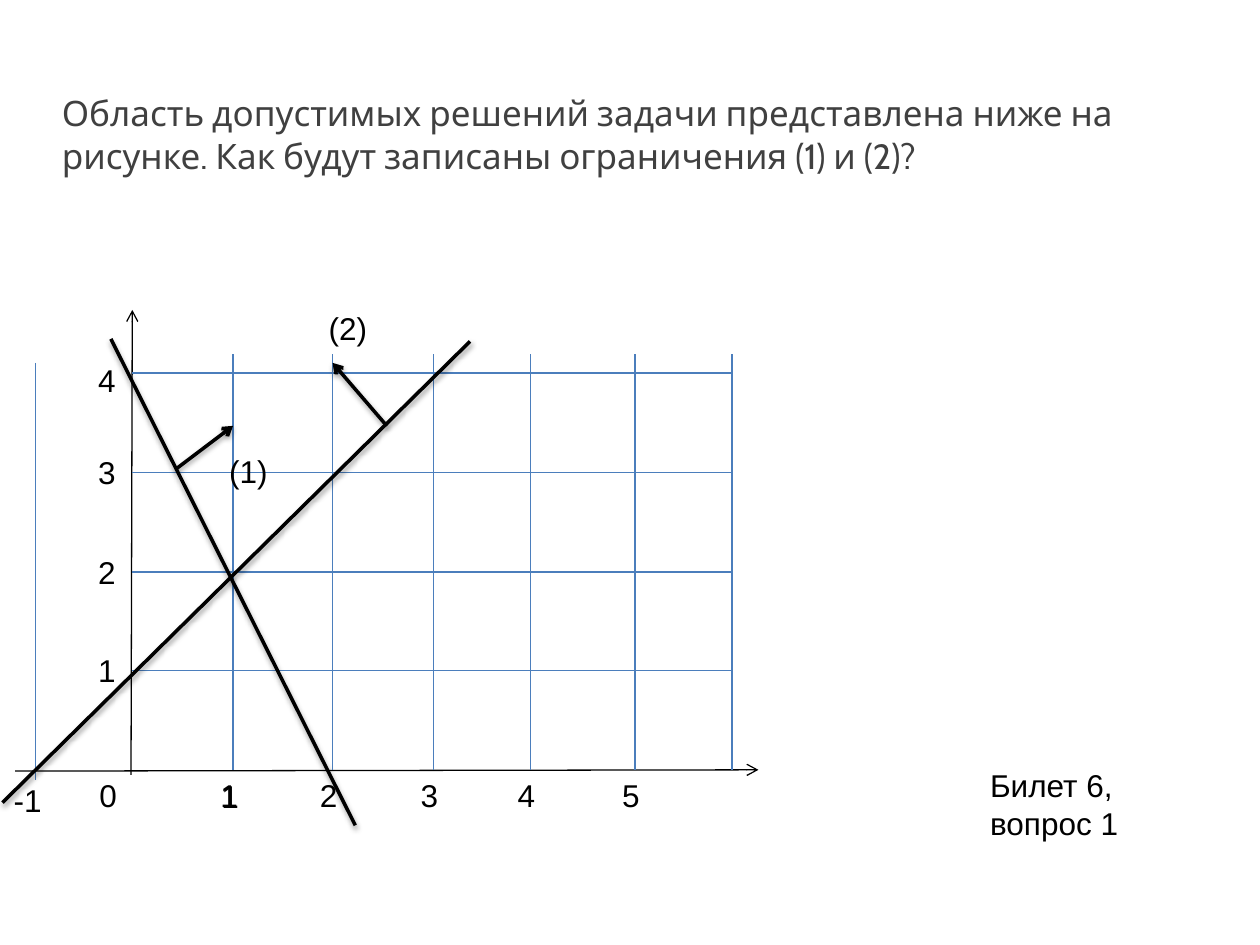
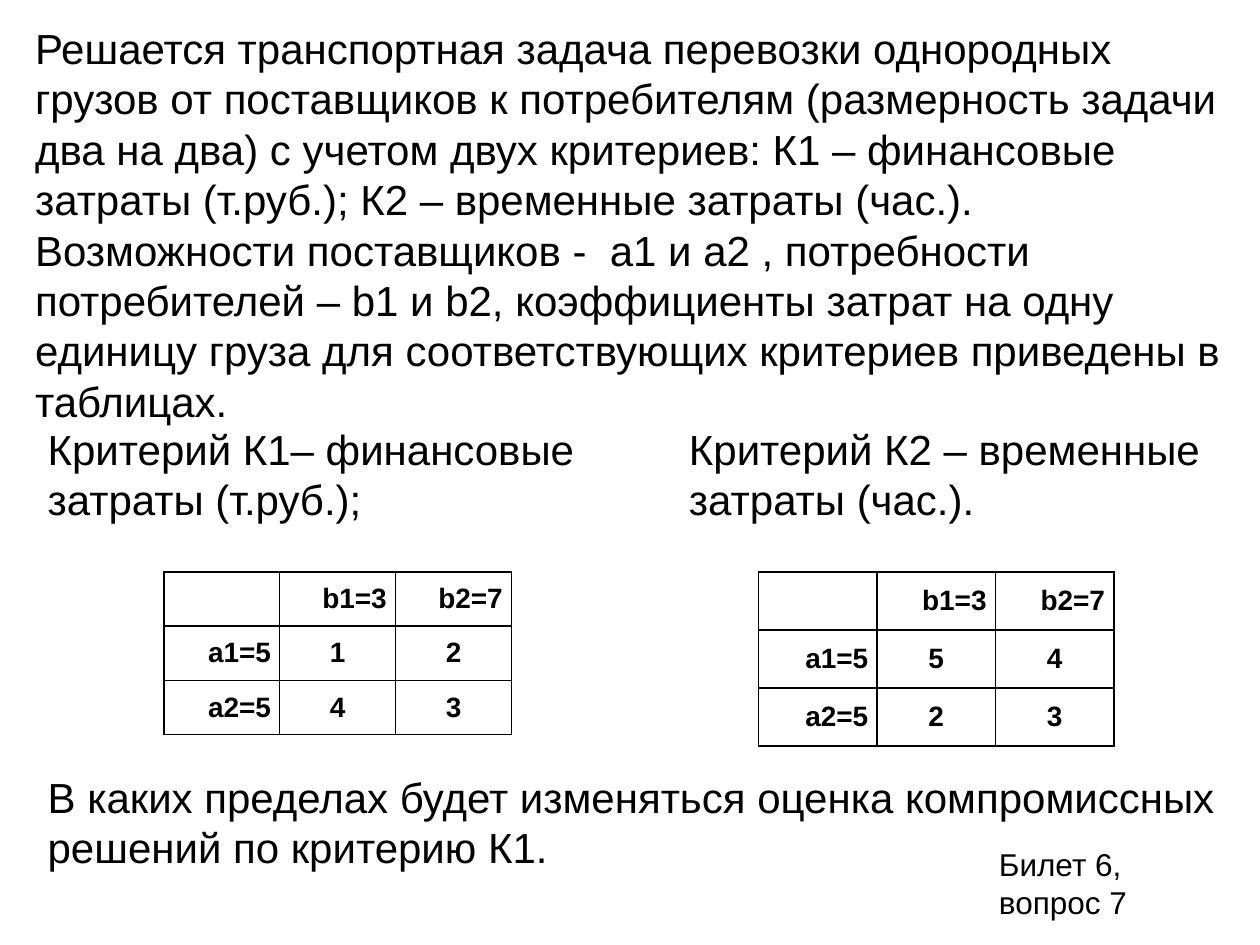
from lxml import etree
from pptx import Presentation
from pptx.dml.color import RGBColor
from pptx.enum.shapes import MSO_CONNECTOR
from pptx.enum.text import MSO_ANCHOR, MSO_AUTO_SIZE, PP_ALIGN
from pptx.oxml.ns import qn
from pptx.util import Inches, Pt

STRAIGHT = MSO_CONNECTOR.STRAIGHT
TOP, MIDDLE = MSO_ANCHOR.TOP, MSO_ANCHOR.MIDDLE
LEFT, CENTER, RIGHT = PP_ALIGN.LEFT, PP_ALIGN.CENTER, PP_ALIGN.RIGHT
NO_FIT = MSO_AUTO_SIZE.NONE

HEX = {"ink": "000000", "title": "404040", "grid": "4B7EBC"}
BODY, HEAD = "Arial", "Cabin"

COLS = [1.85, 2.64, 3.44, 4.21, 5.04, 5.81]
ROWS = [5.32, 4.54, 3.75, 2.96]
MARKS = [5.12, 4.34, 3.55, 2.82]


def color(name):
    """Return the named colour."""
    return RGBColor.from_string(HEX[name])


def write(frame, text, size=18, font=BODY, ink="ink", bold=False, align=LEFT, anchor=TOP):
    """Fill a text frame with one paragraph per line of text."""
    frame.word_wrap = True
    frame.vertical_anchor = anchor
    frame.text = text
    for para in frame.paragraphs:
        para.alignment = align
        para.space_before = Pt(0)
        face = para.font
        face.size, face.name, face.bold = Pt(size), font, bold
        face.color.rgb = color(ink)


def place(shape, left, top, width, height):
    """Move and size a shape, in inches."""
    shape.left, shape.top = Inches(left), Inches(top)
    shape.width, shape.height = Inches(width), Inches(height)


def label(slide, text, left, top, width=0.37, height=0.4, **style):
    """Add a text box."""
    box = slide.shapes.add_textbox(*map(Inches, (left, top, width, height)))
    write(box.text_frame, text, **style)


def line(slide, start, end, ink="ink", width=0.75, arrow=False, shadow=False):
    """Add a straight line with an optional arrowhead and shadow."""
    item = slide.shapes.add_connector(STRAIGHT, *map(Inches, start + end))
    item.line.color.rgb = color(ink)
    item.line.width = Pt(width)
    props = item._element.spPr
    if arrow:
        etree.SubElement(props.find(qn("a:ln")), qn("a:tailEnd"), type="arrow")
    effect = etree.SubElement(props, qn("a:effectLst"))
    if shadow:
        cast = etree.SubElement(effect, qn("a:outerShdw"), blurRad="40000",
                                dist="20000", dir="5400000", rotWithShape="0")
        tone = etree.SubElement(cast, qn("a:srgbClr"), val=HEX["ink"])
        etree.SubElement(tone, qn("a:alpha"), val="38000")


def border(cell):
    """Draw a thin line on all four sides of a cell."""
    props = cell._tc.get_or_add_tcPr()
    for spot, side in enumerate(("lnL", "lnR", "lnT", "lnB")):
        edge = etree.Element(qn(f"a:{side}"), w=str(Pt(1)))
        fill = etree.SubElement(edge, qn("a:solidFill"))
        etree.SubElement(fill, qn("a:srgbClr"), val=HEX["ink"])
        props.insert(spot, edge)


def costs(slide, left, side, height, values):
    """Add a cost table with demand on top and supply on the left."""
    rows = [["", "b1=3", "b2=7"], ["a1=5", *values[0]], ["a2=5", *values[1]]]
    size = len(rows)
    frame = slide.shapes.add_table(
        size, size, Inches(left), Inches(4.54), Inches(size * side), Inches(size * height))
    table = frame.table
    table.first_row = table.horz_banding = False
    for col in table.columns:
        col.width = Inches(side)
    for r, row in enumerate(rows):
        table.rows[r].height = Inches(height)
        for c, text in enumerate(row):
            cell = table.cell(r, c)
            cell.margin_left = cell.margin_right = Inches(0.07)
            cell.margin_top = cell.margin_bottom = 0
            cell.vertical_anchor = MIDDLE
            cell.fill.background()
            border(cell)
            if text:
                write(cell.text_frame, text, size=16, bold=True, anchor=MIDDLE,
                      align=CENTER if r and c else RIGHT)


def ticket(slide, number, left, top):
    """Add the ticket and question number."""
    label(slide, f"Билет 6, вопрос {number}", left, top, 1.5, 0.71)


def grid(slide):
    """Draw the axes, the grid and the numbers on it."""
    line(slide, (1.04, 6.15), (1.05, 2.46), arrow=True)
    line(slide, (0.12, 6.12), (6.02, 6.11), arrow=True)
    for y in ROWS:
        line(slide, (1.05, y), (5.82, y), "grid")
    for x in COLS:
        line(slide, (x, 2.81), (x, 6.11), "grid")
    line(slide, (0.28, 2.88), (0.28, 6.19), "grid")
    label(slide, "0", 0.69, 6.11)
    for n, x in enumerate(COLS[:-1], 1):
        label(slide, str(n), x - 0.2, 6.11)
    label(slide, "1", 1.66, 6.12)
    for n, y in enumerate(MARKS, 1):
        label(slide, str(n), 0.68, y)
    label(slide, "-1", 0.01, 6.15, 0.53)


def region(deck):
    """Build the slide with the feasible region."""
    slide = deck.slides.add_slide(deck.slide_layouts[5])
    title = slide.shapes.title
    place(title, 0.39, 0.68, 9.06, 0.77)
    write(title.text_frame, "Область допустимых решений задачи представлена ниже на "
          "рисунке. Как будут записаны ограничения (1) и (2)?",
          size=20, font=HEAD, ink="title")
    title.text_frame.auto_size = NO_FIT
    grid(slide)
    for start, end, arrow in (
        ((0.02, 6.37), (3.73, 2.71), False),
        ((1.4, 3.72), (1.85, 3.38), True),
        ((3.07, 3.38), (2.64, 2.88), True),
        ((0.88, 2.69), (2.82, 6.55), False),
    ):
        line(slide, start, end, width=2, arrow=arrow, shadow=True)
    label(slide, "(1)", 1.72, 3.54, 0.63)
    label(slide, "(2)", 2.51, 2.4, 0.63)
    ticket(slide, 1, 7.76, 6.03)


def freight(deck):
    """Build the slide with the transport problem."""
    slide = deck.slides.add_slide(deck.slide_layouts[6])
    label(slide, "Решается транспортная задача перевозки однородных грузов от "
          "поставщиков к потребителям (размерность задачи два на два) с учетом двух "
          "критериев: К1 – финансовые затраты (т.руб.); К2 – временные затраты (час.).\n"
          "Возможности поставщиков -  a1 и a2 , потребности потребителей – b1 и b2, "
          "коэффициенты затрат на одну единицу груза для соответствующих критериев "
          "приведены в таблицах.", 0.18, 0.13, 9.62, 2.93, size=24)
    label(slide, "Критерий К1– финансовые затраты (т.руб.);",
          0.28, 3.31, 4.72, 0.91, size=24)
    label(slide, "Критерий К2 – временные затраты (час.).",
          5.37, 3.31, 4.43, 0.91, size=24)
    costs(slide, 6.02, 0.94, 0.46, ("54", "23"))
    costs(slide, 1.3, 0.92, 0.43, ("12", "43"))
    label(slide, "В каких пределах будет изменяться оценка компромиссных решений "
          "по критерию К1.", 0.28, 6.07, 9.61, 0.91, size=24)
    ticket(slide, 7, 7.83, 6.66)


def main():
    """Build and save the deck."""
    deck = Presentation()
    deck.slide_width, deck.slide_height = Inches(10), Inches(7.5)
    region(deck)
    freight(deck)
    deck.save("out.pptx")


if __name__ == "__main__":
    main()
